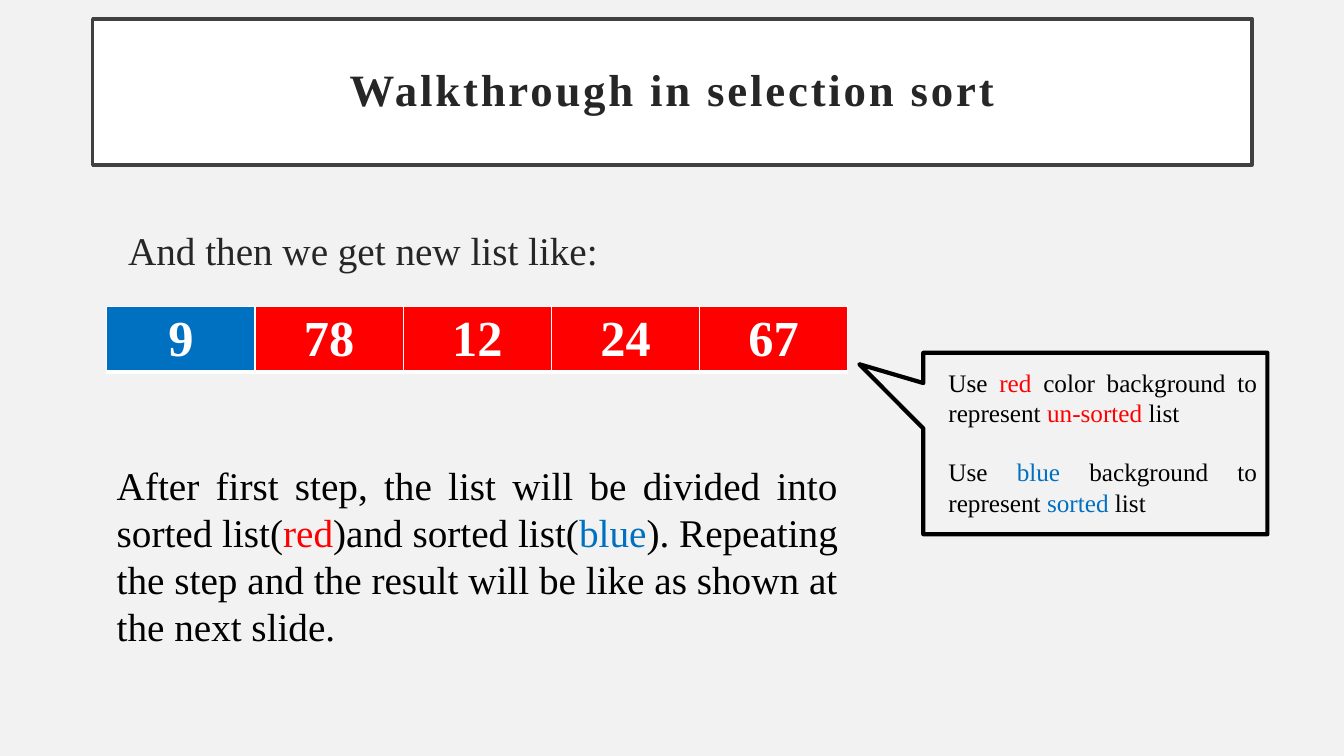
from dataclasses import dataclass

from lxml import etree
from pptx import Presentation
from pptx.dml.color import RGBColor
from pptx.enum.shapes import MSO_SHAPE
from pptx.enum.text import MSO_ANCHOR, MSO_AUTO_SIZE, PP_ALIGN
from pptx.oxml.ns import qn
from pptx.util import Inches, Pt

CALLOUT = MSO_SHAPE.RECTANGULAR_CALLOUT
MIDDLE = MSO_ANCHOR.MIDDLE
FIXED = MSO_AUTO_SIZE.NONE
LEFT, CENTER, JUSTIFY = PP_ALIGN.LEFT, PP_ALIGN.CENTER, PP_ALIGN.JUSTIFY


@dataclass(frozen=True)
class Theme:
    font: str = "Times New Roman"
    back: str = "F2F2F2"
    white: str = "FFFFFF"
    black: str = "000000"
    ink: str = "262626"
    frame: str = "404040"
    red: str = "FF0000"
    blue: str = "0070C0"
    note: int = 18
    body: int = 28
    title: int = 32
    cell: int = 36


class Deck:
    def __init__(self, theme):
        self.theme = theme
        self.file = Presentation()
        self.file.slide_width = Inches(13.33)
        self.file.slide_height = Inches(7.5)
        self.slide = self.file.slides.add_slide(self.file.slide_layouts[1])
        self.paint(self.slide.background.fill, theme.back)

    def paint(self, fill, color):
        fill.solid()
        fill.fore_color.rgb = RGBColor.from_string(color)

    def area(self, left, top, width, height):
        across = self.file.slide_width / 100
        down = self.file.slide_height / 100
        return (int(left * across), int(top * down),
                int(width * across), int(height * down))

    def place(self, shape, box):
        shape.left, shape.top, shape.width, shape.height = self.area(*box)

    def edge(self, shape, color, width):
        self.paint(shape.line.fill, color)
        shape.line.width = Pt(width)

    def style(self, para, size, color, align, bold=False):
        para.alignment = align
        font = para.font
        font.name, font.size, font.bold = self.theme.font, Pt(size), bold
        font.color.rgb = RGBColor.from_string(color)

    def title(self, text, box):
        shape = self.slide.shapes.title
        self.place(shape, box)
        self.paint(shape.fill, self.theme.white)
        self.edge(shape, self.theme.frame, 2.5)
        frame = shape.text_frame
        frame.text = text
        frame.vertical_anchor = MIDDLE
        para = frame.paragraphs[0]
        self.style(para, self.theme.title, self.theme.ink, CENTER, True)
        para.line_spacing = 0.9
        para.runs[0].font._element.set("spc", "200")

    def body(self, text, box):
        shape = self.slide.placeholders[1]
        self.place(shape, box)
        frame = shape.text_frame
        frame.text = text
        frame.auto_size = FIXED
        para = frame.paragraphs[0]
        props = para._p.get_or_add_pPr()
        props.set("marL", "0")
        props.set("indent", "0")
        etree.SubElement(props, qn("a:buNone"))
        self.style(para, self.theme.body, self.theme.ink, LEFT)
        para.space_before = Pt(10)

    def text(self, paras, box, size, gap=0):
        frame = self.slide.shapes.add_textbox(*self.area(*box)).text_frame
        frame.word_wrap = True
        for i, parts in enumerate(paras):
            para = frame.add_paragraph() if i else frame.paragraphs[0]
            self.style(para, size, self.theme.black, JUSTIFY)
            para.space_before = Pt(gap if i else 0)
            for words, color in parts:
                run = para.add_run()
                run.text = words
                run.font.name, run.font.size = self.theme.font, Pt(size)
                run.font.color.rgb = RGBColor.from_string(color)

    def border(self, cell):
        props = cell._tc.get_or_add_tcPr()
        for side, width in (("L", 1), ("R", 1), ("T", 1), ("B", 3)):
            line = etree.SubElement(props, qn("a:ln" + side), w=str(Pt(width)))
            fill = etree.SubElement(line, qn("a:solidFill"))
            etree.SubElement(fill, qn("a:srgbClr"), val=self.theme.white)

    def table(self, items, box):
        grid = self.slide.shapes.add_table(1, len(items), *self.area(*box)).table
        for cell, (value, color) in zip(grid.iter_cells(), items):
            self.border(cell)
            self.paint(cell.fill, color)
            cell.text = value
            cell.vertical_anchor = MIDDLE
            self.style(cell.text_frame.paragraphs[0], self.theme.cell,
                       self.theme.white, CENTER, True)

    def callout(self, box, tip):
        shape = self.slide.shapes.add_shape(CALLOUT, *self.area(*box))
        shape.shadow.inherit = False
        shape.fill.background()
        self.edge(shape, self.theme.black, 3)
        for i, value in enumerate(tip):
            shape.adjustments[i] = value


def main():
    theme = Theme()
    red, blue, black = theme.red, theme.blue, theme.black
    deck = Deck(theme)
    deck.title("Walkthrough in selection sort", (6.9, 2.5, 86.25, 19.33))
    deck.body("And then we get new list like:", (8.78, 29.33, 63.4, 45.2))
    deck.table([("9", blue)] + [(n, red) for n in ("78", "12", "24", "67")],
               (7.95, 40.53, 55.13, 7.47))
    deck.callout((68.7, 46.67, 25.6, 24), (-0.686, -0.437))
    deck.text([
        [("Use ", black), ("red", red),
         (" color background to represent ", black),
         ("un-sorted", red), (" list", black)],
        [("Use ", black), ("blue", blue),
         (" background to represent ", black),
         ("sorted", blue), (" list", black)],
    ], (69.83, 47.87, 24.45, 21.6), theme.note, 21)
    deck.text([[
        ("After first step, the list will be divided into sorted list(", black),
        ("red", red), (")and sorted list(", black), ("blue", blue),
        ("). Repeating the step and the result will be like as shown at "
         "the next slide.", black),
    ]], (7.95, 60.4, 55.13, 26.53), theme.body)
    deck.file.save("out.pptx")


if __name__ == "__main__":
    main()
